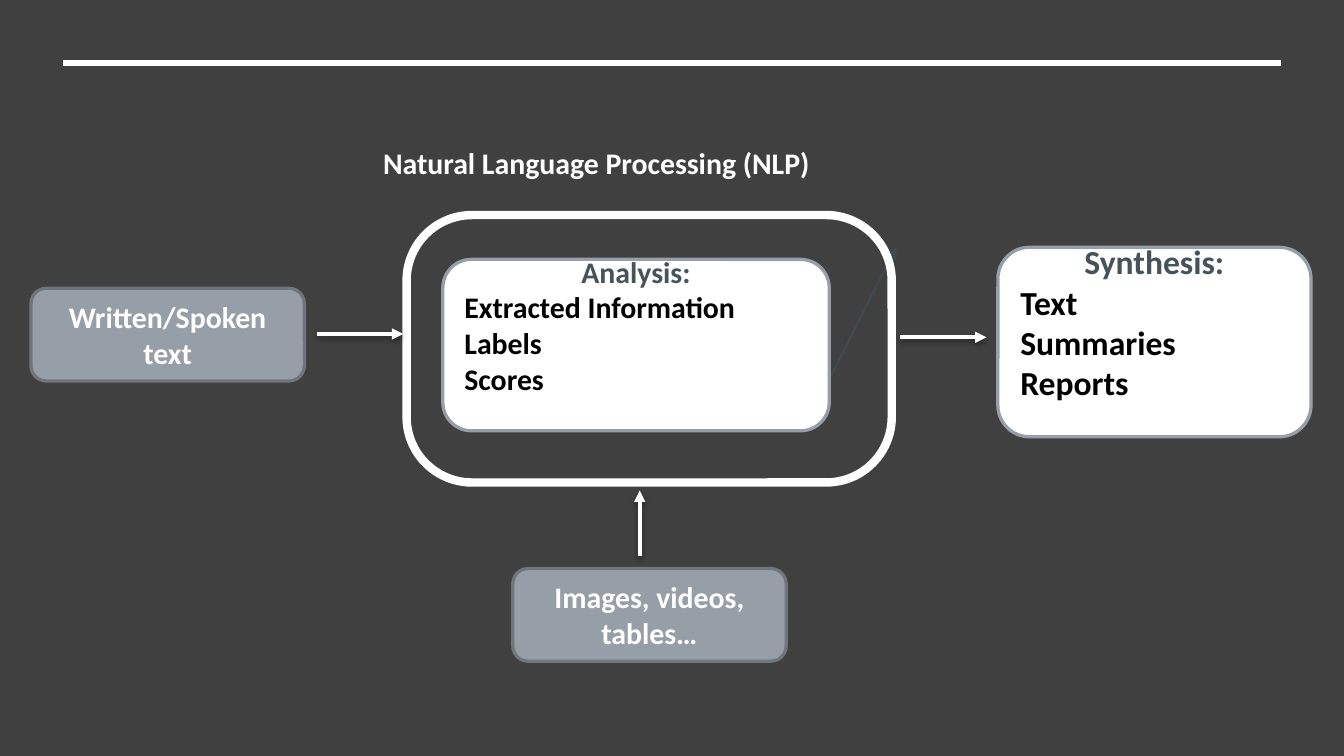
import pptx
import pptx.dml.color
import pptx.enum.shapes
import pptx.enum.text
import pptx.oxml
import pptx.oxml.ns
import pptx.util

RGB = pptx.dml.color.RGBColor
ALIGN = pptx.enum.text.PP_ALIGN
ANCHOR = pptx.enum.text.MSO_ANCHOR
Pt = pptx.util.Pt

BACKGROUND = RGB(0x40, 0x40, 0x40)
WHITE = RGB(0xFF, 0xFF, 0xFF)
BLACK = RGB(0x00, 0x00, 0x00)
SLATE = RGB(0x46, 0x53, 0x59)
STEEL = RGB(0x96, 0x9F, 0xA7)
STEEL_EDGE = RGB(0x6F, 0x76, 0x7C)
FAINT = RGB(0x3F, 0x4B, 0x50)

FONT = "Calibri"
COLUMNS = 100
ROWS = COLUMNS * 9 / 16
INPUT_SIZE = (20.35, 6.9)  # both input boxes, in columns and rows

NAMESPACE = pptx.oxml.ns.nsdecls("a")
ARROWHEAD = f'<a:tailEnd {NAMESPACE} type="triangle"/>'
NO_EFFECTS = f"<a:effectLst {NAMESPACE}/>"
SHADOW = (
    f'<a:outerShdw {NAMESPACE} blurRad="40000" dist="20000" dir="5400000" '
    'rotWithShape="0"><a:srgbClr val="000000"><a:alpha val="38000"/>'
    "</a:srgbClr></a:outerShdw>"
)


def cells(count):
    """Length of a number of grid columns or rows, each 0.1 inch."""
    return pptx.util.Inches(count / 10)


def style_paragraph(paragraph, size, color, align):
    paragraph.alignment = align
    for run in paragraph.runs:
        run.font.name = FONT
        run.font.size = Pt(size)
        run.font.bold = True
        run.font.color.rgb = color


def add_box(slide, column, row, width, height, fill, edge, weight=1.75):
    box = slide.shapes.add_shape(
        pptx.enum.shapes.MSO_SHAPE.ROUNDED_RECTANGLE,
        *map(cells, (column, row, width, height)))
    box.shadow.inherit = False
    if fill is None:
        box.fill.background()
    else:
        box.fill.solid()
        box.fill.fore_color.rgb = fill
    box.line.color.rgb = edge
    box.line.width = Pt(weight)
    return box


def add_input(slide, column, row, label):
    box = add_box(slide, column, row, *INPUT_SIZE, STEEL, STEEL_EDGE)
    box.text_frame.text = label
    style_paragraph(box.text_frame.paragraphs[0], 16, WHITE, ALIGN.CENTER)


def add_output(slide, column, row, width, height, heading, items, size):
    """White box with a centred heading above left-aligned items."""
    box = add_box(slide, column, row, width, height, WHITE, STEEL)
    frame = box.text_frame
    frame.vertical_anchor = ANCHOR.MIDDLE
    frame.margin_top = 0
    frame.margin_bottom = cells(3)  # lifts the text to the top edge
    frame.text = "\n".join([heading, *items])
    first, *rest = frame.paragraphs
    style_paragraph(first, size, SLATE, ALIGN.CENTER)
    for item in rest:
        style_paragraph(item, size, BLACK, ALIGN.LEFT)


def add_line(slide, start, end, color, weight, arrow=True, shadow=False):
    line = slide.shapes.add_connector(
        pptx.enum.shapes.MSO_CONNECTOR.STRAIGHT, *map(cells, (*start, *end)))
    line.line.color.rgb = color
    line.line.width = Pt(weight)
    properties = line._element.spPr
    if arrow:
        outline = properties.find(pptx.oxml.ns.qn("a:ln"))
        outline.append(pptx.oxml.parse_xml(ARROWHEAD))
    effects = pptx.oxml.parse_xml(NO_EFFECTS)
    if shadow:
        effects.append(pptx.oxml.parse_xml(SHADOW))
    properties.append(effects)


def set_title(slide, text):
    title = slide.shapes.title
    title.left, title.top, title.width, title.height = map(
        cells, (28.5, 10.75, 38.1, 3.4))
    frame = title.text_frame
    frame.text = text
    frame.word_wrap = True
    frame.auto_size = pptx.enum.text.MSO_AUTO_SIZE.NONE
    frame.vertical_anchor = ANCHOR.TOP
    frame.margin_left = frame.margin_right = 0
    frame.margin_top = frame.margin_bottom = 0
    style_paragraph(frame.paragraphs[0], 16, WHITE, ALIGN.LEFT)


def main():
    deck = pptx.Presentation()
    deck.slide_width, deck.slide_height = cells(COLUMNS), cells(ROWS)
    slide = deck.slides.add_slide(deck.slide_layouts[5])
    slide.background.fill.solid()
    slide.background.fill.fore_color.rgb = BACKGROUND

    # Heading and rule
    add_line(slide, (4.7, 4.7), (COLUMNS - 4.7, 4.7), WHITE, 3, arrow=False)
    set_title(slide, "Natural Language Processing (NLP)")

    # Results, with the processing frame around the analysis
    add_line(slide, (61.1, 29.4), (66.7, 18.4), FAINT, 1)
    add_output(slide, 74.25, 18.4, 23.3, 14.1, "Synthesis:",
               ["Text", "Summaries", "Reports"], 18)
    add_output(slide, 32.95, 19.3, 28.75, 12.75, "Analysis:",
               ["Extracted Information", "Labels", "Scores"], 16)
    frame = add_box(slide, 30.25, 16, 36.1, 19.9, None, WHITE, 4.5)
    frame.adjustments[0] = 0.245

    # Inputs
    add_input(slide, 2.3, 21.45, "Written/Spoken text")
    add_input(slide, 38.15, 42.3, "Images, videos, tables…")

    # Flow arrows
    for start, end in [((23.6, 24.85), (30, 24.85)),
                       ((66.95, 25.1), (73.4, 25.1)),
                       ((47.6, 41.4), (47.6, 36.5))]:
        add_line(slide, start, end, WHITE, 2, shadow=True)

    deck.save("out.pptx")


if __name__ == "__main__":
    main()
